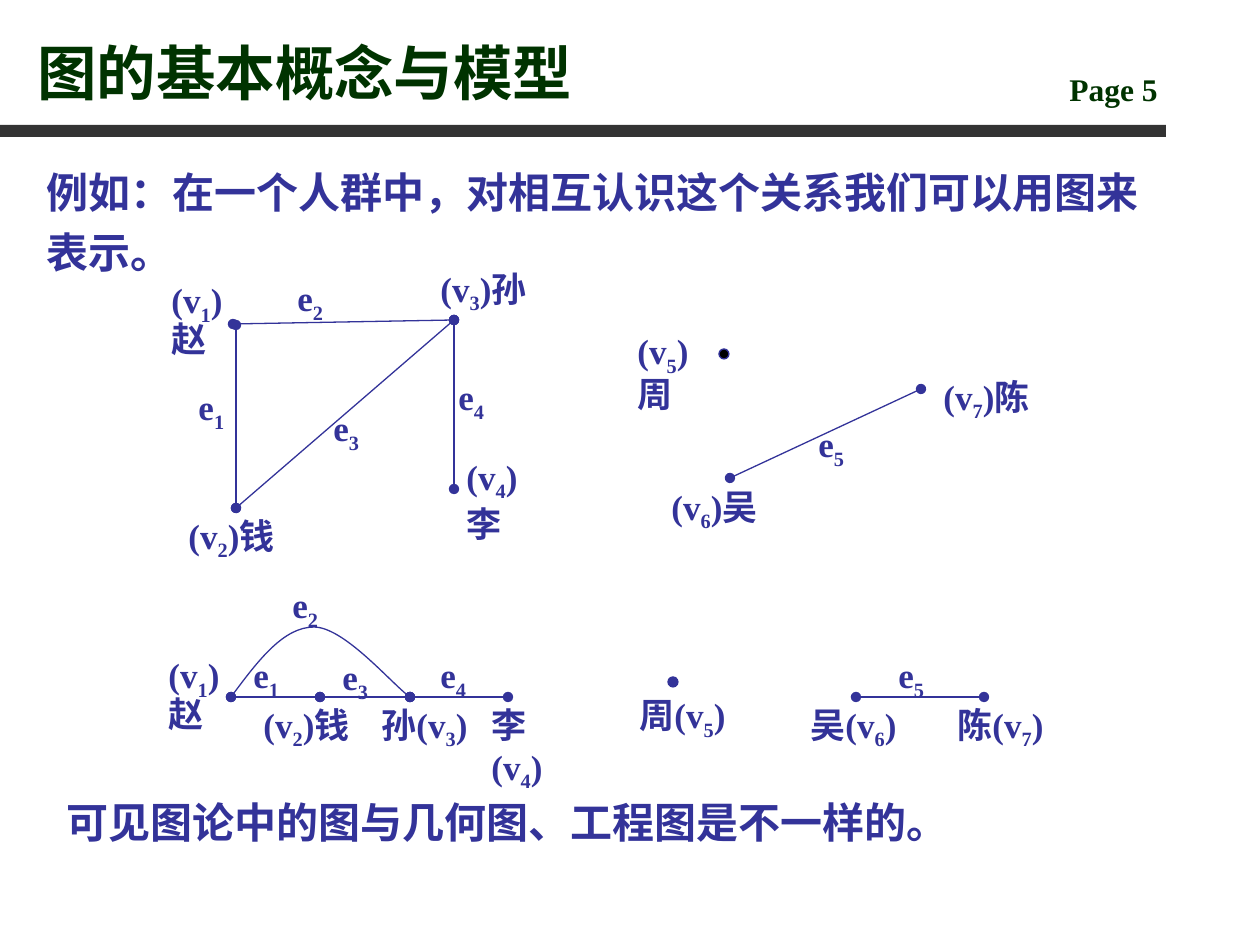
from itertools import groupby

from lxml.etree import SubElement
from pptx import Presentation
from pptx.dml.color import RGBColor
from pptx.enum.shapes import MSO_CONNECTOR, MSO_SHAPE
from pptx.enum.text import MSO_ANCHOR, MSO_AUTO_SIZE
from pptx.oxml.ns import qn
from pptx.util import Pt

PX = 914400 / 126  # EMU in one px
FONT = "Times New Roman"
GREEN = RGBColor(0x00, 0x33, 0x00)
BLUE = RGBColor(0x33, 0x33, 0x99)
GREY = RGBColor(0x33, 0x33, 0x33)
BLACK = RGBColor(0x00, 0x00, 0x00)


def emu(*lengths):
    return [round(length * PX) for length in lengths]


def within(box, x, y):
    return box[0] + x, box[1] + y


def add_text(page, at, text, size, color, spacing=None, subscripts=False):
    shape = page.shapes.add_textbox(*emu(*at))
    frame = shape.text_frame
    frame.word_wrap = True
    frame.auto_size = MSO_AUTO_SIZE.SHAPE_TO_FIT_TEXT
    for index, line in enumerate(text.split("\n")):
        para = frame.add_paragraph() if index else frame.paragraphs[0]
        para.line_spacing = spacing
        if index:
            para.space_before = Pt(12.5)
        parts = groupby(line, str.isdigit) if subscripts else [(False, line)]
        for lowered, letters in parts:
            span = para.add_run()
            span.text = "".join(letters)
            span.font.name = FONT
            span.font.size = Pt(size)
            span.font.bold = True
            span.font.color.rgb = color
            if lowered:
                span.font._element.set("baseline", "-25000")
    return frame


def style_line(shape, oval_ends=True):
    shape.line.color.rgb = BLUE
    shape.line.width = Pt(0.75)
    if oval_ends:
        for end in ("a:headEnd", "a:tailEnd"):
            SubElement(shape.line._get_or_add_ln(), qn(end), type="oval")


def add_edge(page, box, start, end):
    edge = page.shapes.add_connector(
        MSO_CONNECTOR.STRAIGHT, *emu(*within(box, *start), *within(box, *end)))
    style_line(edge)
    SubElement(edge._element.spPr, qn("a:effectLst"))


def add_curved_edge(page, box, points):
    """Draw cubic curves: a start, then two controls and an end for each."""
    start, *rest = [within(box, *point) for point in points]
    builder = page.shapes.build_freeform(*start, scale=PX)
    builder.add_line_segments(rest, close=False)
    curve = builder.convert_to_shape()
    steps = list(curve._element.iter(qn("a:lnTo")))
    outline = steps[0].getparent()
    for first in range(0, len(steps), 3):
        bezier = SubElement(outline, qn("a:cubicBezTo"))
        for step in steps[first:first + 3]:
            bezier.append(step[0])
            outline.remove(step)
    curve.fill.background()
    curve.shadow.inherit = False
    style_line(curve)


def add_lone_vertex(page, box, x, y, color):
    dot = page.shapes.add_shape(
        MSO_SHAPE.OVAL, *emu(*within(box, x, y), 10, 10))
    dot.fill.solid()
    dot.fill.fore_color.rgb = color
    dot.shadow.inherit = False
    style_line(dot, oval_ends=False)


def add_labels(page, box, vertices, edges):
    for text, x, y, width, height, spacing in vertices:
        add_text(page, (*within(box, x, y), width, height), text, 20, BLUE,
                 spacing, subscripts=True)
    for text, x, y in edges:
        add_text(page, (*within(box, x, y), 69, 32), text, 20, BLUE, 0.4,
                 subscripts=True)


def draw_header(page, box):
    bar = page.shapes.add_shape(
        MSO_SHAPE.RECTANGLE, *emu(*within(box, 0, 125), 1166, 12))
    bar.fill.solid()
    bar.fill.fore_color.rgb = GREY
    bar.line.fill.background()
    bar.shadow.inherit = False
    add_text(page, (*within(box, 1057, 64), 179, 50), "Page 5", 18, GREEN)
    title = add_text(page, (*within(box, 25, 16), 1012, 98),
                     "图的基本概念与模型", 34, GREEN)
    title.auto_size = MSO_AUTO_SIZE.NONE
    title.vertical_anchor = MSO_ANCHOR.BOTTOM


def draw_plane_graph(page, box):
    v1, v2, v3, v4 = (86, 65), (86, 248), (304, 60), (304, 229)
    v6, v7 = (580, 218), (771, 129)
    for start, end in [(v2, v1), (v3, v2), (v3, (83, 64)), (v7, v6), (v3, v4)]:
        add_edge(page, box, start, end)
    add_lone_vertex(page, box, 569, 89, BLACK)
    add_labels(page, box, [
        ("(v1)\n赵", 9, 32, 84, 71, 0.4),
        ("(v2)钱", 26, 248, 158, 60, None),
        ("(v3)孙", 278, 1, 147, 60, None),
        ("(v4)李", 304, 189, 84, 103, None),
        ("(v5)\n周", 475, 79, 84, 79, 0.5),
        ("(v6)吴", 509, 219, 147, 60, None),
        ("(v7)陈", 781, 109, 126, 60, None),
    ], [("e1", 36, 139), ("e2", 135, 30), ("e3", 171, 160),
        ("e4", 296, 129), ("e5", 656, 176)])


def draw_row_graph(page, box):
    base = 107
    for start, end in [(81, 170), (170, 260), (260, 358), (706, 834)]:
        add_edge(page, box, (start, base), (end, base))
    add_curved_edge(page, box, [
        (81, base), (107, 72), (134, 37), (164, 37),
        (193, 37), (243, 95), (260, base)])
    add_lone_vertex(page, box, 518, 87, BLUE)
    add_labels(page, box, [
        ("(v1)\n赵", 6, 77, 84, 71, 0.4),
        ("(v2)钱", 101, base, 158, 60, None),
        ("孙(v3)", 219, base, 147, 60, None),
        ("李(v4)", 329, base, 110, 103, None),
        ("周(v5)", 477, 113, 120, 58, 0.5),
        ("吴(v6)", 648, base, 147, 60, None),
        ("陈(v7)", 795, base, 126, 60, None),
    ], [("e1", 91, 77), ("e2", 130, 7), ("e3", 180, 79),
        ("e4", 278, 77), ("e5", 736, 77)])


def draw_statement(page, box, text, wrap=True):
    frame = add_text(page, box, text, 24, BLUE, 1.2)
    frame.word_wrap = wrap


def main():
    deck = Presentation()
    deck.slide_width, deck.slide_height = emu(1260, 945)
    page = deck.slides.add_slide(deck.slide_layouts[6])
    draw_header(page, (0, 0, 1260, 140))
    draw_row_graph(page, (150, 590, 921, 210))
    draw_plane_graph(page, (150, 260, 907, 308))
    draw_statement(page, (54, 780, 907, 73),
                   "可见图论中的图与几何图、工程图是不一样的。", wrap=False)
    draw_statement(page, (34, 150, 1131, 134),
                   "例如：在一个人群中，对相互认识这个关系我们可以用图来表示。")
    deck.save("out.pptx")


if __name__ == "__main__":
    main()
